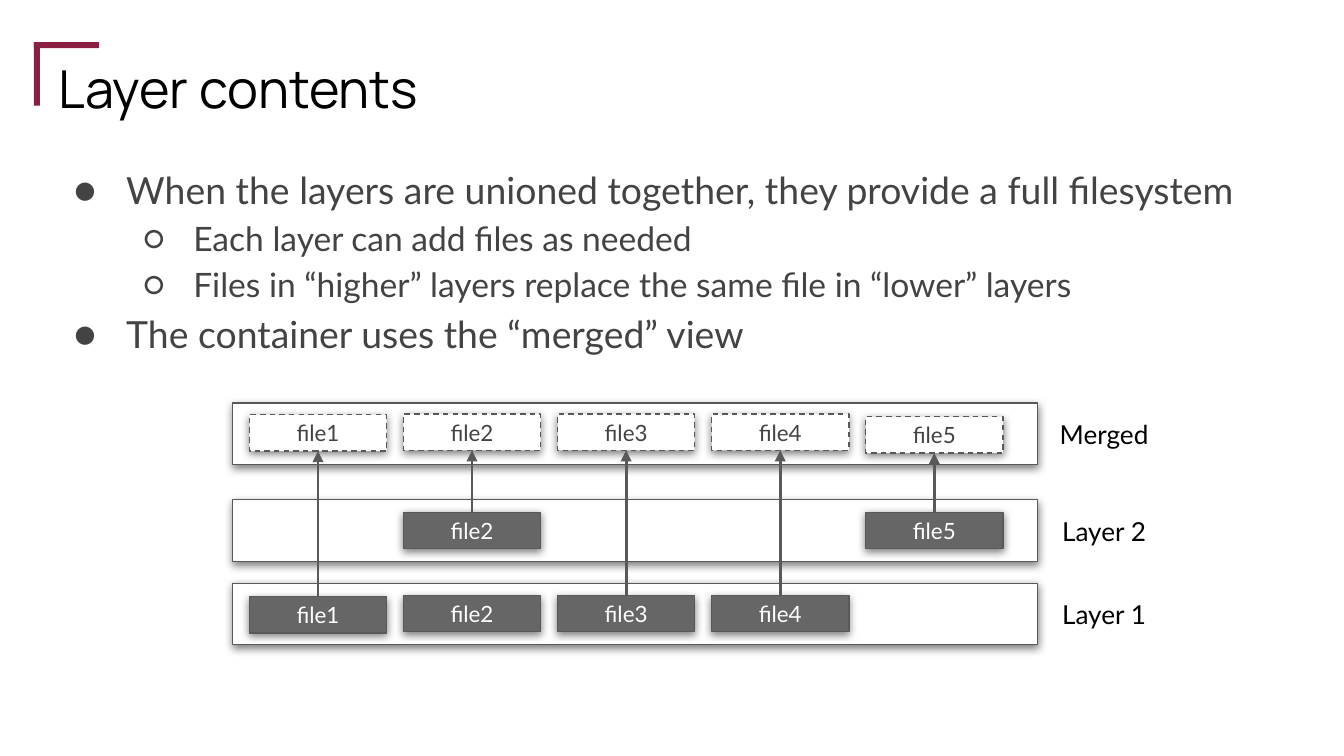
from lxml.etree import SubElement
from pptx import Presentation
from pptx.dml.color import RGBColor
from pptx.enum.dml import MSO_LINE
from pptx.enum.shapes import MSO_CONNECTOR, MSO_SHAPE
from pptx.enum.text import MSO_ANCHOR, PP_ALIGN
from pptx.oxml.ns import qn
from pptx.util import Pt

TITLE = "Layer contents"
BULLETS = [
    (0, "When the layers are unioned together, they provide a full filesystem"),
    (1, "Each layer can add files as needed"),
    (1, "Files in “higher” layers replace the same file in “lower” layers"),
    (0, "The container uses the “merged” view"),
]
LEVELS = [("●", 20, 36, -28), ("○", 18, 72, -27)]
LAYERS = [
    ("Layer 1", 312.5, {1: 319.7, 2: 319, 3: 319, 4: 319}),
    ("Layer 2", 267.8, {2: 274.5, 5: 274.5}),
    ("Merged", 216, {1: 222.2, 2: 221.8, 3: 221.8, 4: 221.8, 5: 223.2}),
]
CORNER = [(18.2, 22.6, 3.2, 34), (18.2, 22.6, 34.8, 3.2)]

ACCENT, BLACK, WHITE = "8B1F41", "000000", "FFFFFF"
TEXT, GRAY, LINE = "434343", "666666", "595959"
LAYER_X, LAYER_W, LAYER_H = 124.6, 431.2, 33
FILE_X, FILE_W, FILE_H, FILE_STEP = 133.6, 73.5, 19.5, 82.55
LABEL_X, LABEL_W, LABEL_H = 557.3, 68.4, 26

prs = Presentation()
prs.slide_width, prs.slide_height = Pt(720), Pt(405)
s = prs.slides.add_slide(prs.slide_layouts[6])


def rgb(value):
    return RGBColor.from_string(value)


def add_run(p, text, size, color, font="Lato"):
    r = p.add_run()
    r.text = text
    r.font.size, r.font.name = Pt(size), font
    r.font.color.rgb = rgb(color)


def set_frame(sp, anchor):
    tf = sp.text_frame
    tf.word_wrap = True
    tf.vertical_anchor = anchor
    tf.margin_left = tf.margin_right = tf.margin_top = tf.margin_bottom = Pt(7.2)
    return tf


def add_box(box, anchor=MSO_ANCHOR.TOP):
    return set_frame(s.shapes.add_textbox(*map(Pt, box)), anchor)


def add_rect(box, fill):
    sp = s.shapes.add_shape(MSO_SHAPE.RECTANGLE, *map(Pt, box))
    sp.shadow.inherit = False
    sp.fill.solid()
    sp.fill.fore_color.rgb = rgb(fill)
    sp.line.fill.background()
    return sp


def add_card(box, fill):
    sp = add_rect(box, fill)
    sp.line.color.rgb = rgb(LINE)
    sp.line.width = Pt(0.75)
    effects = sp._element.spPr.find(qn("a:effectLst"))
    shadow = SubElement(effects, qn("a:outerShdw"), blurRad=str(Pt(4.5)),
                        dist=str(Pt(1.5)), dir="5400000", algn="bl", rotWithShape="0")
    color = SubElement(shadow, qn("a:srgbClr"), val=BLACK)
    SubElement(color, qn("a:alpha"), val="50000")
    return sp


def add_bullet(p, level, text):
    char, size, margin, indent = LEVELS[level]
    p.level = level
    pPr = p._p.get_or_add_pPr()
    pPr.set("marL", str(Pt(margin)))
    pPr.set("indent", str(Pt(indent)))
    SubElement(SubElement(pPr, qn("a:buClr")), qn("a:srgbClr"), val=TEXT)
    SubElement(pPr, qn("a:buFont"), typeface="Lato")
    SubElement(pPr, qn("a:buChar"), char=char)
    p.line_spacing = 1.15
    add_run(p, text, size, TEXT)


def add_centered(tf, text, size, color):
    p = tf.paragraphs[0]
    p.alignment = PP_ALIGN.CENTER
    add_run(p, text, size, color)


def add_file(number, top, merged):
    x = FILE_X + (number - 1) * FILE_STEP
    sp = add_card((x, top, FILE_W, FILE_H), WHITE if merged else GRAY)
    if merged:
        sp.line.dash_style = MSO_LINE.DASH
    add_centered(set_frame(sp, MSO_ANCHOR.MIDDLE), f"file{number}", 12,
                 TEXT if merged else WHITE)
    return sp


def add_arrow(source, target):
    c = s.shapes.add_connector(MSO_CONNECTOR.STRAIGHT, 0, 0, 0, 0)
    c.begin_connect(source, 0)
    c.end_connect(target, 2)
    c.line.color.rgb = rgb(LINE)
    c.line.width = Pt(1.5)
    SubElement(c.line._get_or_add_ln(), qn("a:tailEnd"), type="triangle")
    SubElement(c._element.spPr, qn("a:effectLst"))


for bar in CORNER:
    add_rect(bar, ACCENT)
add_run(add_box((24.5, 23, 671, 45.4)).paragraphs[0], TITLE, 28, BLACK, "Manrope")

tf = add_box((24.5, 78.5, 671, 118.8))
for i, (level, text) in enumerate(BULLETS):
    add_bullet(tf.add_paragraph() if i else tf.paragraphs[0], level, text)

sources, arrows = {}, []
for name, top, files in LAYERS:
    add_card((LAYER_X, top, LAYER_W, LAYER_H), WHITE)
    merged = name == "Merged"
    for number, file_top in files.items():
        sp = add_file(number, file_top, merged)
        if merged:
            arrows.append((sources[number], sp))
        else:
            sources[number] = sp
    label_top = top + (LAYER_H - LABEL_H) / 2
    add_centered(add_box((LABEL_X, label_top, LABEL_W, LABEL_H), MSO_ANCHOR.MIDDLE),
                 name, 14, BLACK)

for source, target in arrows:
    add_arrow(source, target)

prs.save("out.pptx")
